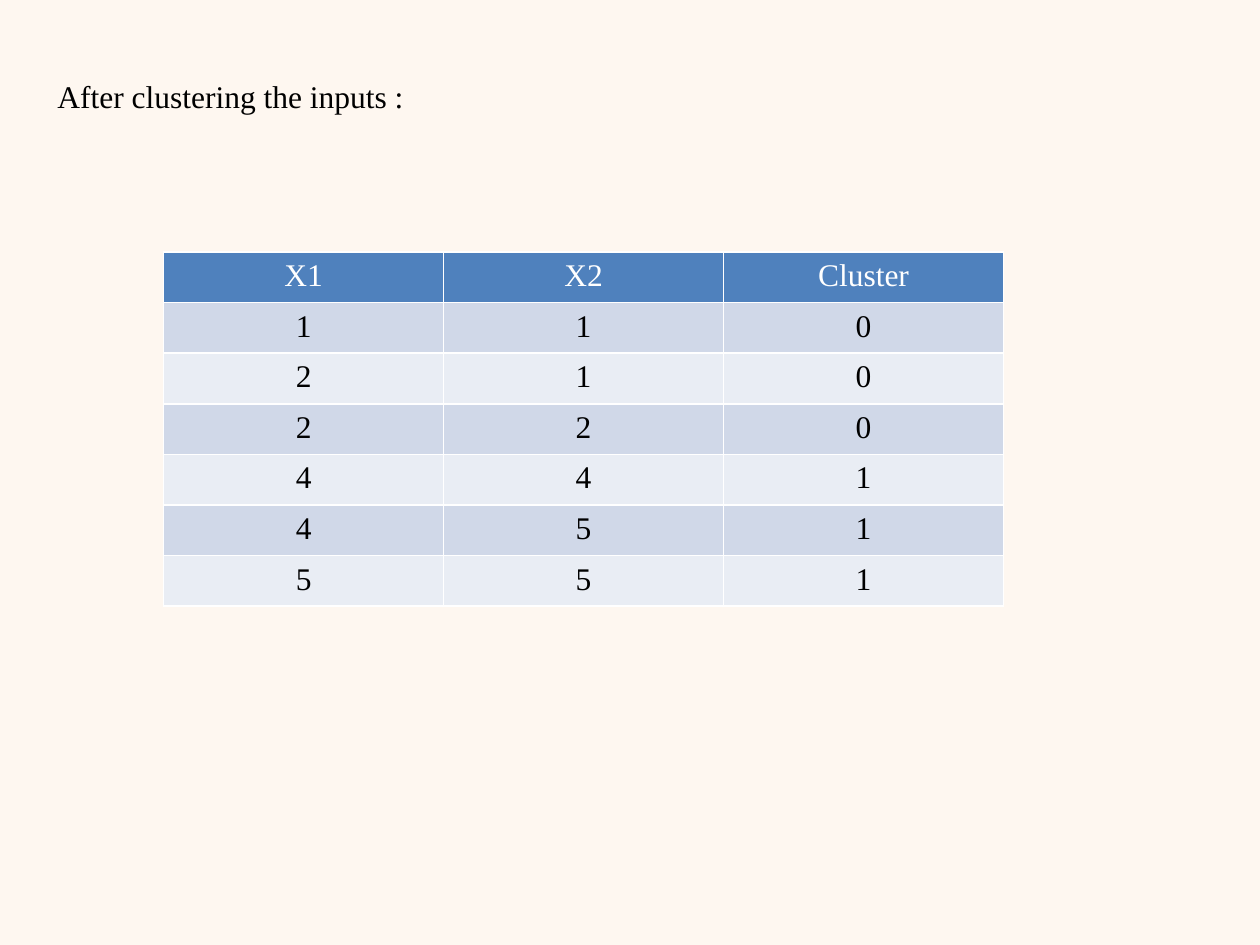
from lxml import etree
from pptx import Presentation
from pptx import util as u
from pptx.dml.color import RGBColor
from pptx.enum import text as t
from pptx.oxml import ns

CREAM = RGBColor(0xFE, 0xF7, 0xF0)
BLUE = RGBColor(0x4F, 0x81, 0xBD)
BANDS = RGBColor(0xD0, 0xD8, 0xE8), RGBColor(0xE9, 0xED, 0xF4)
WHITE = RGBColor(0xFF, 0xFF, 0xFF)
BLACK = RGBColor(0, 0, 0)

HEAD = "X1", "X2", "Cluster"
POINTS = [(1, 1, 0), (2, 1, 0), (2, 2, 0), (4, 4, 1), (4, 5, 1), (5, 5, 1)]


def write(frame, words, size=18, color=BLACK, align=t.PP_ALIGN.LEFT):
    para = frame.paragraphs[0]
    para.alignment = align
    run = para.add_run()
    run.text = words
    run.font.name = "Times New Roman"
    run.font.size = u.Pt(size)
    run.font.bold = False
    run.font.color.rgb = color


def title(slide, words):
    box = slide.shapes.add_textbox(u.Cm(0.91), u.Cm(1.42), u.Cm(20.02), u.Cm(1.8))
    box.text_frame.word_wrap = True
    write(box.text_frame, words)


def border(cell, color=WHITE, width=1):
    """Rule all four sides; lines must stand before the fill in the cell."""
    props = cell._tc.get_or_add_tcPr()
    for spot, side in enumerate(("lnL", "lnR", "lnT", "lnB")):
        line = etree.Element(ns.qn("a:" + side), w=str(u.Pt(width)))
        fill = etree.SubElement(line, ns.qn("a:solidFill"))
        etree.SubElement(fill, ns.qn("a:srgbClr"), val=str(color))
        props.insert(spot, line)


def grid(slide, head, data):
    rows = [head, *data]
    high = u.Cm(1.02)
    table = slide.shapes.add_table(
        len(rows), len(head), u.Cm(3.3), u.Cm(5.08), u.Cm(16.93), high * len(rows)
    ).table
    for r, row in enumerate(rows):
        table.rows[r].height = high
        for c, value in enumerate(row):
            cell = table.cell(r, c)
            cell.margin_left = cell.margin_right = u.Cm(0.18)
            cell.fill.solid()
            cell.fill.fore_color.rgb = BANDS[(r - 1) % 2] if r else BLUE
            border(cell)
            write(cell.text_frame, str(value), color=BLACK if r else WHITE,
                  align=t.PP_ALIGN.CENTER)


def main():
    deck = Presentation()
    deck.slide_width, deck.slide_height = u.Cm(25.4), u.Cm(19.05)
    slide = deck.slides.add_slide(deck.slide_layouts[6])
    slide.background.fill.solid()
    slide.background.fill.fore_color.rgb = CREAM
    title(slide, "After clustering the inputs :")
    grid(slide, HEAD, POINTS)
    deck.save("out.pptx")


if __name__ == "__main__":
    main()
